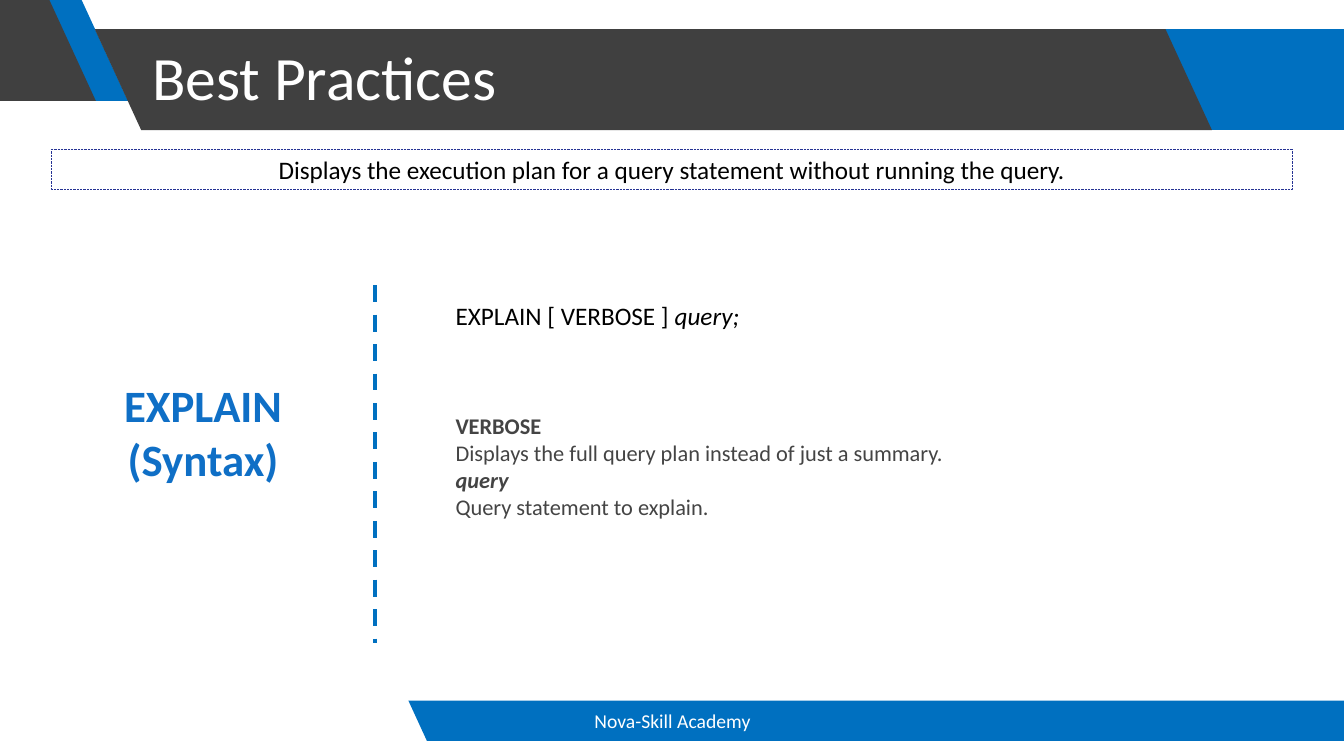
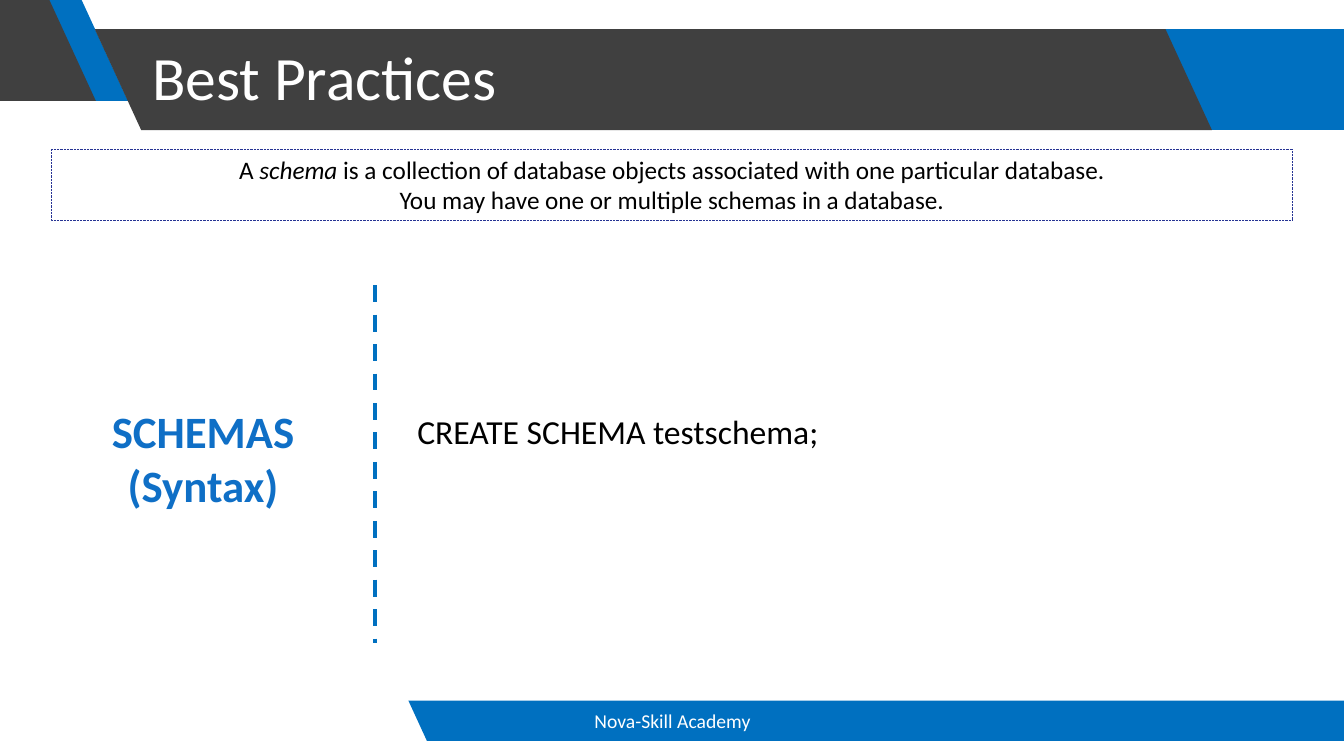
import pptx
import pptx.util
import pptx.dml.color
import pptx.enum.dml
import pptx.enum.shapes
import pptx.enum.text
import pptx.oxml.ns
import lxml.etree
from pptx.util import Inches

ALIGN = pptx.enum.text.PP_ALIGN
ANCHOR = pptx.enum.text.MSO_ANCHOR
DASH = pptx.enum.dml.MSO_LINE

# Content: a paragraph is a list of (text, run format) pairs
TITLE = "Best Practices"
FOOTER = "Nova-Skill Academy"
BOLD, ITALIC = {"bold": True}, {"italic": True}

SLIDES = [
    {
        "summary": [[("Displays the execution plan for a query statement without running the query.", {})]],
        "summary_height": 0.4,
        "topic": ["EXPLAIN", "(Syntax)"],
        "topic_top": 3.7,
        "syntax": [("EXPLAIN [ VERBOSE ] ", {}), ("query;", ITALIC)],
        "syntax_box": (4.42, 2.93, 8.78, 0.4),
        "syntax_size": "body",
        "terms": [
            ("VERBOSE", BOLD, "Displays the full query plan instead of just a summary."),
            ("query", BOLD | ITALIC, "Query statement to explain."),
        ],
    },
    {
        "summary": [
            [("A ", {}), ("schema", ITALIC),
             (" is a collection of database objects associated with one particular database.", {})],
            [("You may have one or multiple schemas in a database.", {})],
        ],
        "summary_height": 0.71,
        "topic": ["SCHEMAS", "(Syntax)"],
        "topic_top": 3.96,
        "syntax": [("CREATE SCHEMA testschema;", {})],
        "syntax_box": (4.04, 4.03, 8.78, 0.5),
        "syntax_size": "code",
        "terms": [],
    },
]

# Theme
THEME = {
    "font": "Calibri",
    "colors": {"blue": "0070C0", "dark": "404040", "topic": "0F6FC6", "outline": "263393",
               "text": "000000", "detail": "444444", "light": "FFFFFF"},
    "sizes": {"title": 44, "topic": 32, "code": 24, "body": 18, "detail": 16, "footer": 14},
}
WIDTH, HEIGHT = 13.33, 7.5
SLANT = 0.46  # sideways run of a slanted edge per inch of height

# Bands: colour, top, height, upper left, upper right, slanted left side, slanted right side
BANDS = [
    ("blue", 0.29, 1, 10.68, WIDTH, False, False),
    ("blue", 0, 1, 0.34, 0.81, True, True),
    ("dark", 0, 1, 0, 0.49, False, True),
    ("dark", 0.29, 1, 0.94, 11.56, True, True),
    ("blue", 6.95, 0.4, 4.05, WIDTH, True, False),
]


def color(name):
    return pptx.dml.color.RGBColor.from_string(THEME["colors"][name])


def add_band(slide, fill, top, height, left, right, slant_left, slant_right):
    shift, bottom = SLANT * height, top + height
    corners = [(left, top), (right, top),
               (right + shift * slant_right, bottom), (left + shift * slant_left, bottom)]
    points = [(Inches(x), Inches(y)) for x, y in corners]
    outline = slide.shapes.build_freeform(*points[0])
    outline.add_line_segments(points[1:], close=True)
    band = outline.convert_to_shape()
    band.shadow.inherit = False
    band.fill.solid()
    band.fill.fore_color.rgb = color(fill)
    band.line.fill.background()


def write(box, paragraphs, size, ink, align=ALIGN.LEFT, anchor=ANCHOR.TOP, **paragraph_format):
    """Fill a box with paragraphs of formatted runs."""
    frame = box.text_frame
    frame.word_wrap = True
    frame.vertical_anchor = anchor
    for index, runs in enumerate(paragraphs):
        paragraph = frame.paragraphs[0] if index == 0 else frame.add_paragraph()
        for key, value in ({"alignment": align} | paragraph_format).items():
            setattr(paragraph, key, value)
        for text, run_format in runs:
            run = paragraph.add_run()
            run.text = text
            base = {"name": THEME["font"], "size": pptx.util.Pt(THEME["sizes"][size])}
            for key, value in (base | run_format).items():
                setattr(run.font, key, value)
            run.font.color.rgb = color(ink)


def add_text(slide, area, paragraphs, size, ink, **options):
    box = slide.shapes.add_textbox(*map(Inches, area))
    write(box, paragraphs, size, ink, **options)


def add_frame(slide):
    """Draw the bands, title, footer and divider that every slide shares."""
    for band in BANDS:
        add_band(slide, *band)
    add_text(slide, (1.41, 0.07, 10.14, 1.45), [[(TITLE, {})]], "title", "light",
             anchor=ANCHOR.MIDDLE, line_spacing=0.9)
    add_text(slide, (4.42, 6.95, 4.5, 0.4), [[(FOOTER, {})]], "footer", "light",
             align=ALIGN.CENTER, anchor=ANCHOR.MIDDLE)
    divider = slide.shapes.add_connector(
        pptx.enum.shapes.MSO_CONNECTOR.STRAIGHT, *map(Inches, (3.72, 2.83, 3.72, 6.38)))
    divider.line.color.rgb = color("blue")
    divider.line.width = pptx.util.Pt(3)
    divider.line.dash_style = DASH.DASH
    lxml.etree.SubElement(divider._element.spPr, pptx.oxml.ns.qn("a:effectLst"))


def add_summary(slide, paragraphs, height):
    summary = slide.shapes.add_shape(
        pptx.enum.shapes.MSO_SHAPE.RECTANGLE, *map(Inches, (0.51, 1.48, 12.31, height)))
    summary.shadow.inherit = False
    summary.fill.background()
    summary.line.color.rgb = color("outline")
    summary.line.width = pptx.util.Pt(0.5)
    summary.line.dash_style = DASH.ROUND_DOT
    write(summary, paragraphs, "body", "text", align=ALIGN.CENTER)


def main():
    deck = pptx.Presentation()
    deck.slide_width, deck.slide_height = Inches(WIDTH), Inches(HEIGHT)
    for content in SLIDES:
        slide = deck.slides.add_slide(deck.slide_layouts[6])
        add_frame(slide)
        add_text(slide, (0.31, content["topic_top"], 3.41, 1.18),
                 [[(line, BOLD)] for line in content["topic"]], "topic", "topic",
                 align=ALIGN.CENTER)
        add_text(slide, content["syntax_box"], [content["syntax"]],
                 content["syntax_size"], "text")
        add_summary(slide, content["summary"], content["summary_height"])
        if content["terms"]:
            terms = [[run] for term, style, meaning in content["terms"]
                     for run in ((term, style), (meaning, {}))]
            add_text(slide, (4.42, 4.04, 7.74, 1.18), terms, "detail", "detail")
    deck.save("out.pptx")


if __name__ == "__main__":
    main()
